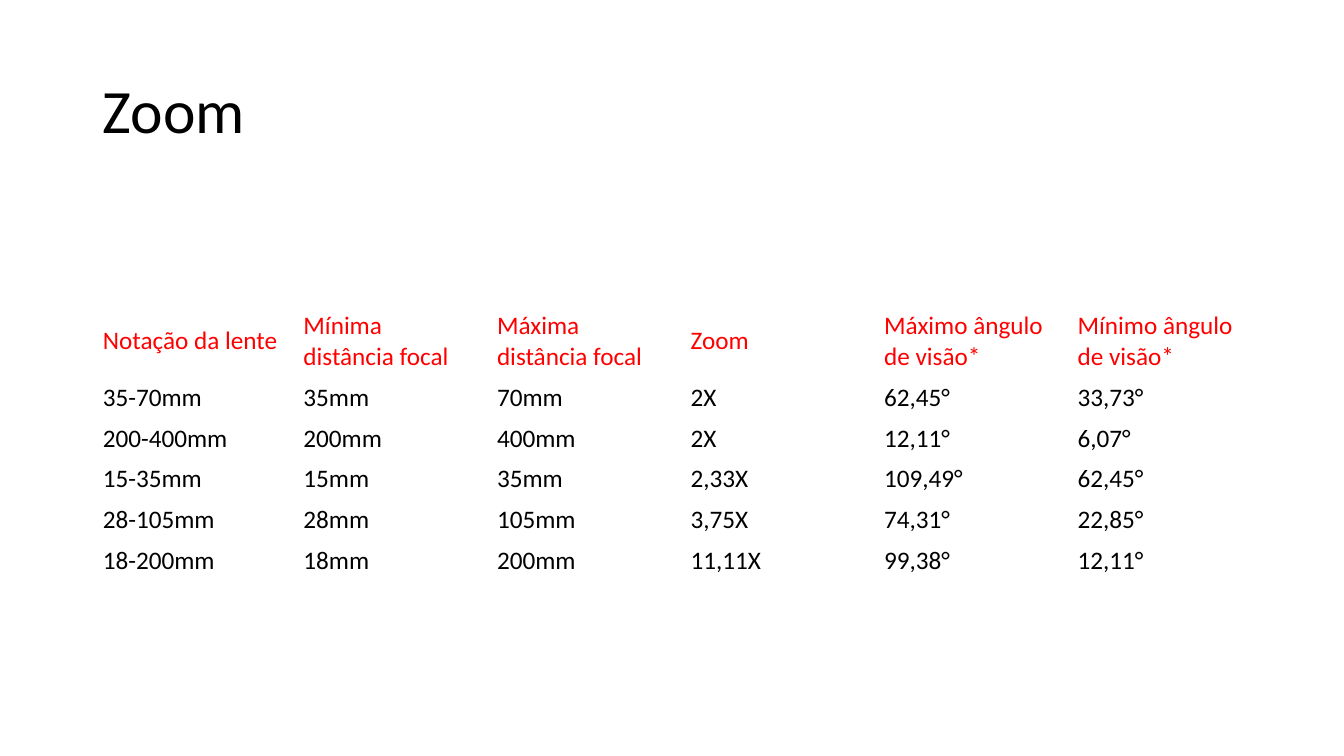
import pptx
import pptx.util
import pptx.dml.color
import pptx.enum.text
from pptx.util import Inches

FONT = "Calibri"
COLORS = {"text": "000000", "header": "FF0000", "cell": "FFFFFF"}

HEADERS = ["Notação da lente", "Mínima distância focal", "Máxima distância focal",
           "Zoom", "Máximo ângulo de visão*", "Mínimo ângulo de visão*"]
LENSES = [
    ["35-70mm", "35mm", "70mm", "2X", "62,45°", "33,73°"],
    ["200-400mm", "200mm", "400mm", "2X", "12,11°", "6,07°"],
    ["15-35mm", "15mm", "35mm", "2,33X", "109,49°", "62,45°"],
    ["28-105mm", "28mm", "105mm", "3,75X", "74,31°", "22,85°"],
    ["18-200mm", "18mm", "200mm", "11,11X", "99,38°", "12,11°"],
]
COLUMN_WIDTHS = [1.99] + [1.92] * 5
ROW_HEIGHTS = [0.7] + [0.4] * len(LENSES)


def rgb(name):
    return pptx.dml.color.RGBColor.from_string(COLORS[name])


def write(tf, text, size, color):
    p = tf.paragraphs[0]
    p.alignment = pptx.enum.text.PP_ALIGN.LEFT
    r = p.add_run()
    r.text = text
    r.font.name = FONT
    r.font.size = pptx.util.Pt(size)
    r.font.bold = False
    r.font.color.rgb = rgb(color)
    return p


def add_title(s, text):
    sp = s.shapes.title
    sp.left, sp.top = Inches(0.92), Inches(0.4)
    sp.width, sp.height = Inches(11.5), Inches(1.45)
    tf = sp.text_frame
    tf.word_wrap = True
    tf.auto_size = pptx.enum.text.MSO_AUTO_SIZE.NONE
    tf.vertical_anchor = pptx.enum.text.MSO_ANCHOR.MIDDLE
    write(tf, text, 44, "text").line_spacing = 0.9


def add_lens_table(s):
    rows = [HEADERS] + LENSES
    table = s.shapes.add_table(
        len(rows), len(HEADERS), Inches(0.92), Inches(3.03),
        Inches(sum(COLUMN_WIDTHS)), Inches(sum(ROW_HEIGHTS))).table
    table.first_row = False
    table.horz_banding = False

    # Grid sizes
    for column, width in zip(table.columns, COLUMN_WIDTHS):
        column.width = Inches(width)
    for row, height in zip(table.rows, ROW_HEIGHTS):
        row.height = Inches(height)

    # Cell contents
    for i, values in enumerate(rows):
        for j, value in enumerate(values):
            cell = table.cell(i, j)
            cell.fill.solid()
            cell.fill.fore_color.rgb = rgb("cell")
            cell.vertical_anchor = pptx.enum.text.MSO_ANCHOR.MIDDLE
            write(cell.text_frame, value, 18, "text" if i else "header")


def main():
    prs = pptx.Presentation()
    prs.slide_width, prs.slide_height = Inches(13.33), Inches(7.5)
    s = prs.slides.add_slide(prs.slide_layouts.get_by_name("Title Only"))
    add_title(s, "Zoom")
    add_lens_table(s)
    prs.save("out.pptx")


if __name__ == "__main__":
    main()
